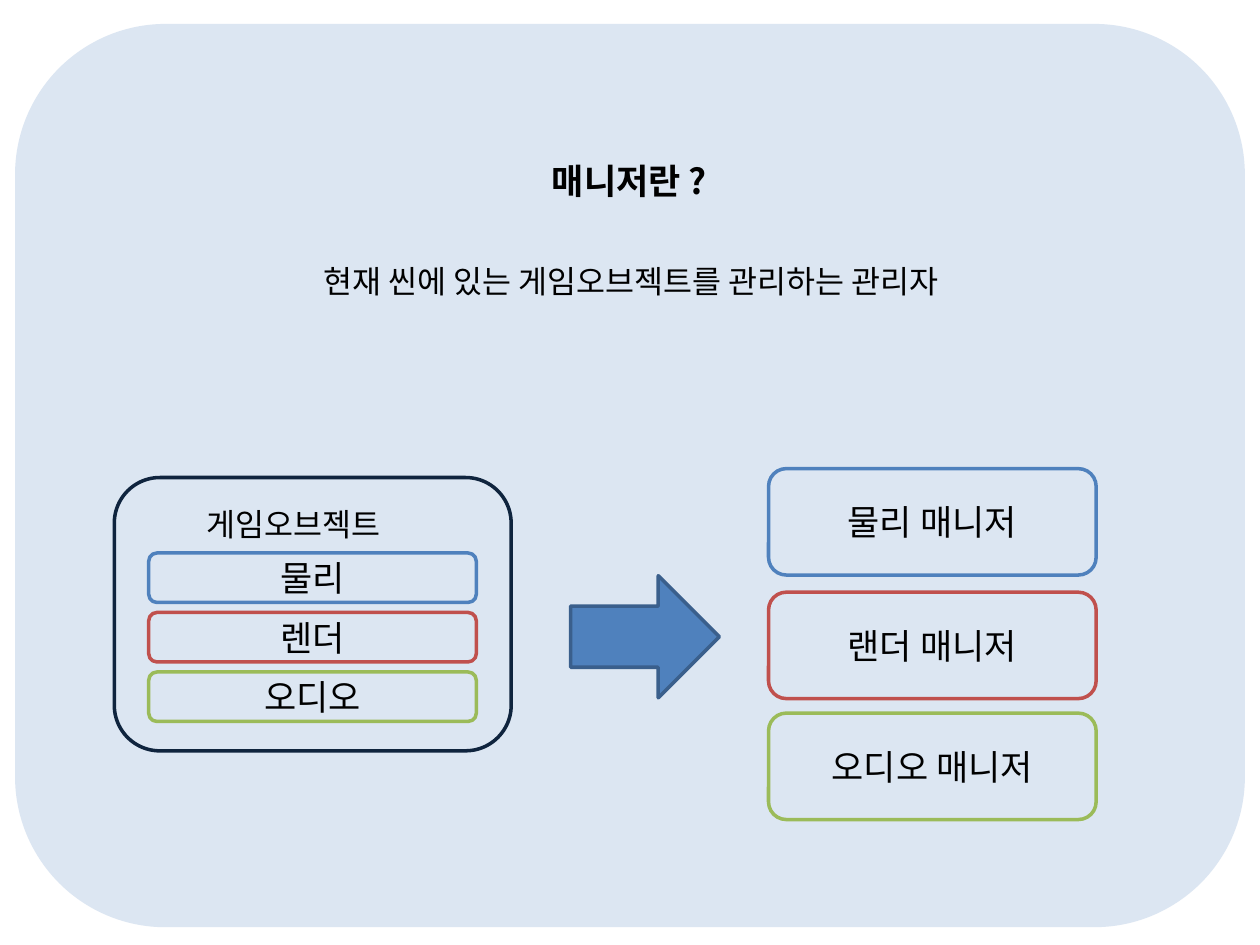
"""Build a slide explaining how managers handle the parts of a game object."""
from lxml import etree
from pptx import Presentation
from pptx.dml.color import RGBColor
from pptx.enum.shapes import MSO_SHAPE as Preset
from pptx.enum.text import MSO_ANCHOR as Anchor, MSO_AUTO_SIZE as AutoSize, PP_ALIGN as Align
from pptx.oxml.ns import qn
from pptx.util import Pt

FONT = "Noto Sans CJK KR"
COLORS = {
    "panel": "DCE6F2", "text": "000000", "object": "0F243E",
    "physics": "4F81BD", "render": "C0504D", "audio": "9BBB59",
    "arrow": "4F81BD", "arrow_edge": "3A5F8C",
}


def write_text(box, text, size=20, bold=False, align=Align.CENTER, anchor=Anchor.MIDDLE):
    frame = box.text_frame
    frame.word_wrap = True
    frame.auto_size = AutoSize.NONE
    frame.vertical_anchor = anchor
    para = frame.paragraphs[0]
    para.alignment = align
    span = para.add_run()
    span.text = text
    span.font.name = FONT
    span.font.size = Pt(size)
    span.font.bold = bold
    span.font.color.rgb = RGBColor.from_string(COLORS["text"])
    etree.SubElement(span._r.get_or_add_rPr(), qn("a:ea"), typeface=FONT)


def add_block(page, preset, left, top, width, height, fill=None, line=None):
    block = page.shapes.add_shape(preset, Pt(left), Pt(top), Pt(width), Pt(height))
    block.shadow.inherit = False
    if fill:
        block.fill.solid()
        block.fill.fore_color.rgb = RGBColor.from_string(COLORS[fill])
    else:
        block.fill.background()
    if line:
        block.line.color.rgb = RGBColor.from_string(COLORS[line])
        block.line.width = Pt(2)
    else:
        block.line.fill.background()
    return block


deck = Presentation()
deck.slide_width, deck.slide_height = Pt(720), Pt(540)
page = deck.slides.add_slide(deck.slide_layouts[5])

panel = add_block(page, Preset.ROUNDED_RECTANGLE, 8.6, 13.7, 702.8, 516.2, fill="panel")
title = page.shapes.title
title.element.addprevious(panel.element)
title.left, title.top, title.width, title.height = Pt(252), Pt(87.8), Pt(215.3), Pt(31.7)
write_text(title, "매니저란 ?", bold=True, anchor=Anchor.TOP)

summary = page.shapes.add_textbox(Pt(153.4), Pt(146.2), Pt(414), Pt(28.8))
write_text(summary, "현재 씬에 있는 게임오브젝트를 관리하는 관리자", size=18, anchor=Anchor.TOP)

add_block(page, Preset.ROUNDED_RECTANGLE, 65.3, 272.9, 226.8, 156.2, line="object")
object_label = page.shapes.add_textbox(Pt(110.9), Pt(285.1), Pt(136), Pt(28.8))
write_text(object_label, "게임오브젝트", size=18, align=Align.LEFT, anchor=Anchor.TOP)

parts = [
    ("physics", "물리", "물리 매니저", 267.8),
    ("render", "렌더", "랜더 매니저", 338.4),
    ("audio", "오디오", "오디오 매니저", 407.5),
]
for row, (color, component, manager, manager_top) in enumerate(parts):
    manager_box = add_block(page, Preset.ROUNDED_RECTANGLE, 439.2, manager_top, 187.2, 60.8, line=color)
    write_text(manager_box, manager)
    component_box = add_block(page, Preset.ROUNDED_RECTANGLE, 85, 316 + 34 * row, 187.2, 28.3, line=color)
    write_text(component_box, component)

add_block(page, Preset.RIGHT_ARROW, 326, 329, 85, 69.8, fill="arrow", line="arrow_edge")

deck.save("out.pptx")
